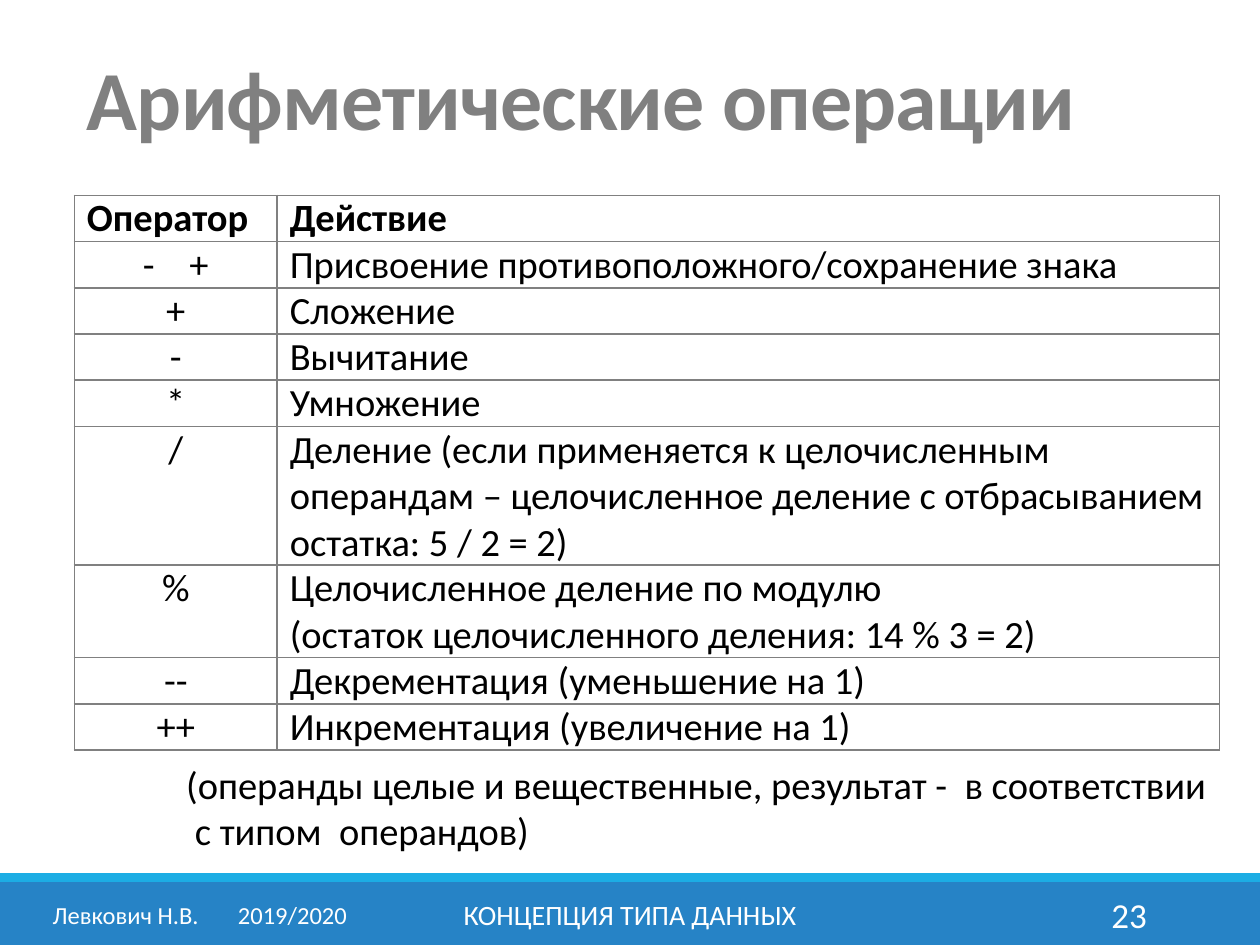
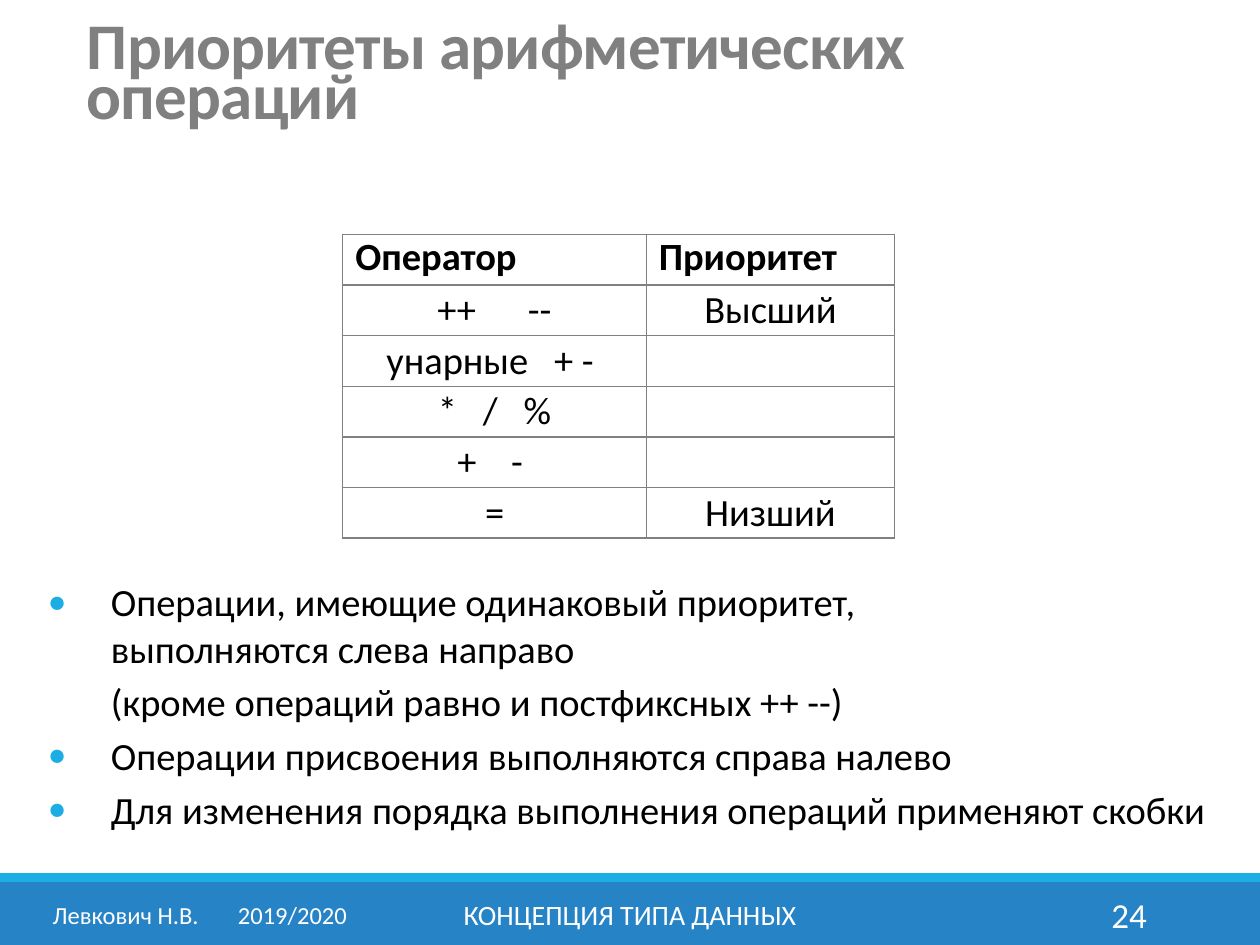
from lxml.etree import SubElement
from pptx import Presentation
from pptx.dml.color import RGBColor
from pptx.enum.shapes import MSO_SHAPE
from pptx.enum.text import MSO_ANCHOR, MSO_AUTO_SIZE, PP_ALIGN
from pptx.oxml.ns import qn
from pptx.util import Inches, Pt

FONT = "Calibri"
BLACK = RGBColor(0x00, 0x00, 0x00)
WHITE = RGBColor(0xFF, 0xFF, 0xFF)
GREY = RGBColor(0x80, 0x80, 0x80)
BLUE = RGBColor(0x26, 0x83, 0xC6)
CYAN = RGBColor(0x1C, 0xAD, 0xE4)

COLUMNS, ROWS = 100, 75
WIDTH, HEIGHT = Inches(10), Inches(7.5)
BODY_SIZE = 22
TITLE_ONLY, TITLE_AND_CONTENT = 5, 1

TOPIC = "КОНЦЕПЦИЯ ТИПА ДАННЫХ"
AUTHOR, YEAR = "Левкович Н.В.", "2019/2020"

OPERATORS = [
    ("Оператор", "Действие"),
    ("-    +", "Присвоение противоположного/сохранение знака"),
    ("+", "Сложение"),
    ("-", "Вычитание"),
    ("*", "Умножение"),
    ("/", "Деление (если применяется к целочисленным операндам – "
          "целочисленное деление с отбрасыванием остатка: 5 / 2 = 2)"),
    ("%", "Целочисленное деление по модулю\n"
          "(остаток целочисленного деления: 14 % 3 = 2)"),
    ("--", "Декрементация (уменьшение на 1)"),
    ("++", "Инкрементация (увеличение на 1)"),
]
OPERATOR_LINES = [1, 1, 1, 1, 1, 3, 2, 1, 1]
OPERAND_NOTE = ("(операнды целые и вещественные, результат -  в соответствии\n"
                " с типом  операндов)")

PRIORITIES = [
    ("Оператор", "Приоритет"),
    ("++      --", "Высший"),
    ("унарные   + - ", ""),
    ("*   /   %", ""),
    ("+    - ", ""),
    ("=", "Низший"),
]
RULES = [
    ("Операции, имеющие одинаковый приоритет,\nвыполняются слева направо", True),
    ("(кроме операций равно и постфиксных ++ --)", False),
    ("Операции присвоения выполняются справа налево", True),
    ("Для изменения порядка выполнения операций применяют скобки", True),
]


def x(columns):
    return round(WIDTH * columns / COLUMNS)


def y(rows):
    return round(HEIGHT * rows / ROWS)


def place(shape, left, top, width, height):
    shape.left, shape.top = x(left), y(top)
    shape.width, shape.height = x(width), y(height)


def add_solid(parent, tag, color):
    fill = SubElement(parent, qn(tag))
    SubElement(fill, qn("a:srgbClr"), val=str(color))


class Deck:
    def __init__(self):
        self.presentation = Presentation()
        self.presentation.slide_width = WIDTH
        self.presentation.slide_height = HEIGHT
        self.slide = None

    def start(self, layout, number):
        layouts = self.presentation.slide_layouts
        self.slide = self.presentation.slides.add_slide(layouts[layout])
        self.band(70, 5, BLUE)
        self.band(69.3, 0.7, CYAN)
        self.footer(30.2, 39.6, TOPIC, 16, PP_ALIGN.CENTER)
        self.footer(81.2, 10.8, str(number), 20, PP_ALIGN.RIGHT)
        self.footer(3.2, 26.1, f"{AUTHOR}\t{YEAR}", 14, PP_ALIGN.LEFT, tab=14.7)

    def style(self, paragraph, size, color=BLACK, bold=False):
        font = paragraph.font
        font.name, font.size, font.bold = FONT, Pt(size), bold
        font.color.rgb = color

    def add_lines(self, paragraph, content):
        for index, line in enumerate(content.splitlines()):
            if index:
                paragraph.add_line_break()
            paragraph.add_run().text = line

    def band(self, top, height, color):
        band = self.slide.shapes.add_shape(
            MSO_SHAPE.RECTANGLE, 0, y(top), WIDTH, y(height))
        band.shadow.inherit = False
        band.fill.solid()
        band.fill.fore_color.rgb = color
        band.line.fill.background()

    def text(self, left, top, width, height, content):
        frame = self.slide.shapes.add_textbox(
            x(left), y(top), x(width), y(height)).text_frame
        frame.word_wrap = True
        paragraph = frame.paragraphs[0]
        self.add_lines(paragraph, content)
        return frame, paragraph

    def footer(self, left, width, content, size, align, tab=None):
        frame, paragraph = self.text(left, 70.6, width, 4, content)
        frame.vertical_anchor = MSO_ANCHOR.MIDDLE
        paragraph.alignment = align
        if tab:
            tabs = SubElement(paragraph._p.get_or_add_pPr(), qn("a:tabLst"))
            SubElement(tabs, qn("a:tab"), pos=str(x(tab)), algn="l")
        self.style(paragraph, size, WHITE)

    def note(self, left, top, width, height, content):
        _, paragraph = self.text(left, top, width, height, content)
        self.style(paragraph, BODY_SIZE)

    def title(self, content, size, spacing, top):
        title = self.slide.shapes.title
        place(title, 5.9, top, 89.2, 9.4)
        frame = title.text_frame
        frame.auto_size = MSO_AUTO_SIZE.NONE
        frame.vertical_anchor = MSO_ANCHOR.MIDDLE
        paragraph = frame.paragraphs[0]
        paragraph.alignment = PP_ALIGN.LEFT
        paragraph.line_spacing = spacing
        run = paragraph.add_run()
        run.text = content
        run._r.get_or_add_rPr().set("spc", "-50")
        self.style(paragraph, size, GREY, True)

    def table(self, left, top, widths, heights, rows, centred_columns, anchor):
        table = self.slide.shapes.add_table(
            len(rows), len(widths), x(left), y(top),
            x(sum(widths)), y(sum(heights))).table
        table.first_row = table.horz_banding = False
        for column, width in zip(table.columns, widths):
            column.width = x(width)
        for row, height in zip(table.rows, heights):
            row.height = y(height)
        for r, row in enumerate(rows):
            for c, content in enumerate(row):
                cell = table.cell(r, c)
                self.cell(cell, content, header=r == 0,
                          centred=r > 0 and c in centred_columns)
                if r:
                    cell.vertical_anchor = anchor

    def cell(self, cell, content, header, centred):
        properties = cell._tc.get_or_add_tcPr()
        for side in ("L", "R", "T", "B"):
            border = SubElement(properties, qn(f"a:ln{side}"), w=str(Pt(1)))
            add_solid(border, "a:solidFill", GREY)
        cell.fill.solid()
        cell.fill.fore_color.rgb = WHITE
        cell.margin_left = cell.margin_right = x(1)
        cell.margin_top = cell.margin_bottom = 0
        paragraph = cell.text_frame.paragraphs[0]
        paragraph.alignment = PP_ALIGN.CENTER if centred else PP_ALIGN.LEFT
        self.add_lines(paragraph, content)
        self.style(paragraph, BODY_SIZE, bold=header)

    def bullets(self, left, top, width, height, items):
        body = self.slide.placeholders[1]
        place(body, left, top, width, height)
        frame = body.text_frame
        frame.auto_size = MSO_AUTO_SIZE.NONE
        for index, (content, marked) in enumerate(items):
            paragraph = frame.add_paragraph() if index else frame.paragraphs[0]
            properties = paragraph._p.get_or_add_pPr()
            properties.set("marL", str(x(5)))
            properties.set("indent", str(-x(5) if marked else 0))
            if marked:
                add_solid(properties, "a:buClr", CYAN)
                SubElement(properties, qn("a:buSzPct"), val="80000")
                SubElement(properties, qn("a:buChar"), char="●")
            else:
                SubElement(properties, qn("a:buNone"))
            self.add_lines(paragraph, content)
            self.style(paragraph, BODY_SIZE)


def main():
    deck = Deck()

    deck.start(TITLE_ONLY, 23)
    deck.title("Арифметические операции", 48, 0.85, top=3.6)
    deck.table(5.9, 15.5, [16.1, 74.8], [3.67 * n for n in OPERATOR_LINES],
               OPERATORS, {0}, MSO_ANCHOR.TOP)
    deck.note(13.8, 59.9, 86, 8.4, OPERAND_NOTE)

    deck.start(TITLE_AND_CONTENT, 24)
    deck.title("Приоритеты арифметических операций", 37.2, 0.65, top=1.6)
    deck.table(27.2, 18.6, [24.1, 19.7], [4.02] * len(PRIORITIES),
               PRIORITIES, {0, 1}, MSO_ANCHOR.MIDDLE)
    deck.bullets(2.8, 45.4, 95.3, 21.7, RULES)

    deck.presentation.save("out.pptx")


if __name__ == "__main__":
    main()
